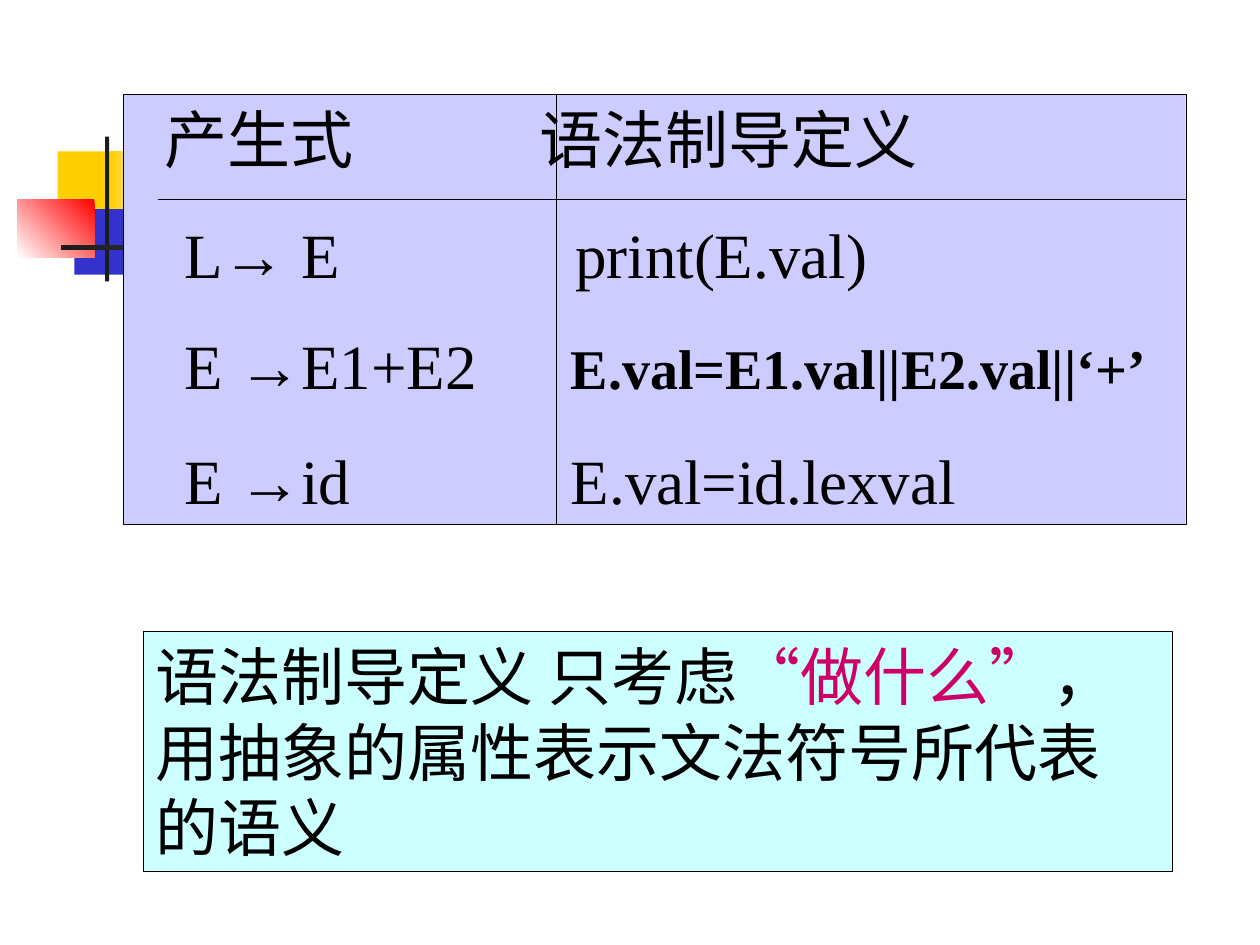
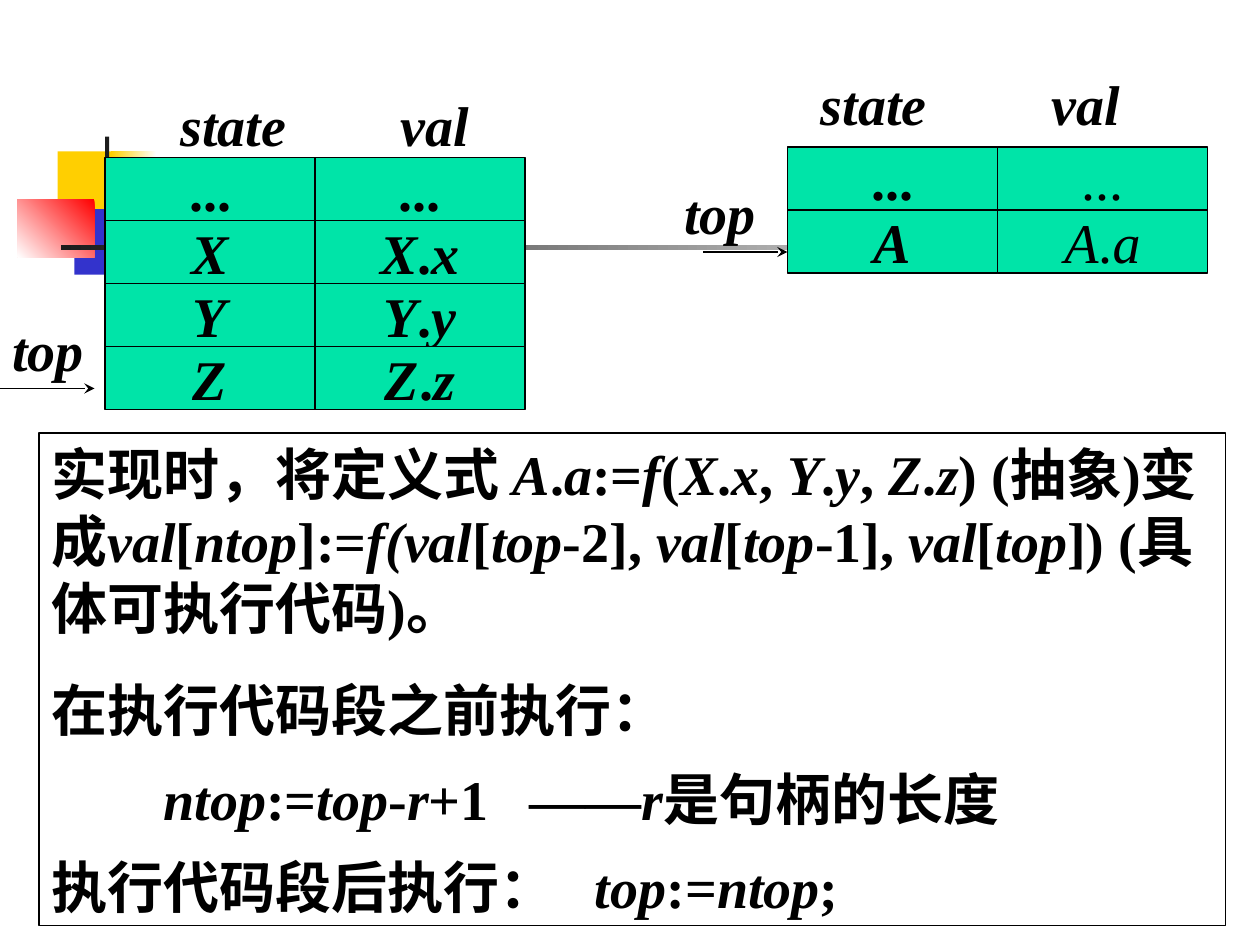
"""Build two slides on syntax-directed definitions and their stack implementation."""
from lxml import etree
from pptx import Presentation
from pptx.dml.color import RGBColor
from pptx.enum import shapes, text
from pptx.oxml import ns
from pptx.util import Pt

FONT = "Times New Roman"
BLACK, WHITE, DARK = "000000", "FFFFFF", "1C1C1C"
YELLOW, BLUE, RED = "FFCF01", "3333CC", "FF0000"
LILAC, AQUA, GREEN, PINK = "CCCCFF", "CCFFFF", "00E4A8", "CC0066"
CELL_WIDTH, CELL_HEIGHT = 120, 36
LABEL_HEIGHT = 46


def colour(code):
    """Turn a hex string into a colour."""
    return RGBColor.from_string(code)


def add_child(parent, tag, **attributes):
    """Append a drawing element to a parent element."""
    return etree.SubElement(parent, ns.qn(tag), **attributes)


def add_rect(page, place, fill, line=None, width=0.75):
    """Draw a flat rectangle with an optional outline."""
    box = page.shapes.add_shape(shapes.MSO_SHAPE.RECTANGLE, *map(Pt, place))
    box.shadow.inherit = False
    box.fill.solid()
    box.fill.fore_color.rgb = colour(fill)
    if line:
        box.line.color.rgb = colour(line)
        box.line.width = Pt(width)
    else:
        box.line.fill.background()
    return box


def add_fade(page, place, start, end, angle=180):
    """Draw a rectangle that fades from one colour to another."""
    box = add_rect(page, place, start)
    box.fill.gradient()
    box.fill.gradient_angle = angle
    for stop, code in zip(box.fill.gradient_stops, (start, end)):
        stop.color.rgb = colour(code)


def add_line(page, start, end, arrow=False):
    """Draw a thin black line, with an arrowhead if wanted."""
    line = page.shapes.add_connector(
        shapes.MSO_CONNECTOR.STRAIGHT, *map(Pt, start + end))
    line.line.color.rgb = colour(BLACK)
    line.line.width = Pt(0.75)
    if arrow:
        add_child(line.line._get_or_add_ln(), "a:tailEnd", type="stealth")
    add_child(line.element.spPr, "a:effectLst")


def starred(content, **style):
    """Split text into spans, with the parts between stars in italics."""
    return [(part, {**style, "italic": index % 2 == 1})
            for index, part in enumerate(content.split("*")) if part]


def write_para(para, spans, before=0, tabs=(), align=text.PP_ALIGN.LEFT):
    """Fill a paragraph with styled spans."""
    para.alignment = align
    para.space_before = Pt(before)
    if tabs:
        stops = add_child(para._p.get_or_add_pPr(), "a:tabLst")
        for stop in tabs:
            add_child(stops, "a:tab", pos=str(Pt(stop)), algn="l")
    for content, style in spans:
        span = para.add_run()
        span.text = content
        style = {"name": FONT, "size": 32, "color": BLACK, **style}
        span.font.color.rgb = colour(style.pop("color"))
        style["size"] = Pt(style["size"])
        for key, value in style.items():
            setattr(span.font, key, value)


def write_box(box, paras, anchor=text.MSO_ANCHOR.TOP, wrap=True):
    """Write a list of paragraph settings into a box."""
    frame = box.text_frame
    frame.word_wrap = wrap
    frame.vertical_anchor = anchor
    for index, settings in enumerate(paras):
        write_para(frame.add_paragraph() if index else frame.paragraphs[0],
                   **settings)


def add_label(page, left, top, width, content):
    """Add a bold italic label."""
    box = page.shapes.add_textbox(*map(Pt, (left, top, width, LABEL_HEIGHT)))
    write_box(box, [{"spans": starred(f"*{content}*", bold=True)}])


def add_stack(page, left, top, rows, bold=(True, True)):
    """Draw a two-column stack of cells."""
    for row, cells in enumerate(rows):
        for column, content in enumerate(cells):
            place = (left + column * CELL_WIDTH, top + row * CELL_HEIGHT,
                     CELL_WIDTH, CELL_HEIGHT)
            box = add_rect(page, place, GREEN, BLACK)
            write_box(box, [{"spans": starred(content, bold=bold[column]),
                             "align": text.PP_ALIGN.CENTER}],
                      text.MSO_ANCHOR.MIDDLE, wrap=False)


def decorate_layout(layout, page):
    """Draw the shared ornament and move it to the layout."""
    for holder in list(layout.placeholders):
        layout.shapes.element.remove(holder.element)
    add_rect(page, (33, 86.5, 34.5, 37.5), YELLOW)
    add_fade(page, (63.5, 86.5, 26, 37.5), WHITE, YELLOW)
    add_rect(page, (42.5, 119.5, 33, 37.5), BLUE)
    add_fade(page, (72, 119.5, 29, 37.5), WHITE, BLUE)
    add_fade(page, (10, 114, 44, 33), RED, WHITE, 225)
    add_rect(page, (60, 78, 2.4, 82.8), DARK)
    add_fade(page, (34.8, 140.2, 648, 2.5), WHITE, DARK)
    for shape in list(page.shapes):
        layout.shapes.element.append(shape.element)


def fill_definition_page(page):
    """Show productions beside their syntax-directed definitions."""
    large = {"size": 36}
    rules = add_rect(page, (70.6, 54, 607, 245.5), LILAC, BLACK, 0.25)
    tabs = (27.5, 248.5)
    write_box(rules, [
        {"spans": [("\t产生式\t语法制导定义", large)], "tabs": (16.5, 230.5)},
        {"spans": [("\tL→ E\tprint(E.val)", large)],
         "before": 22.5, "tabs": (27.5, 251)},
        {"spans": [("\tE →E1+E2\t", large),
                   ("E.val=E1.val||E2.val||‘+’", {"bold": True})],
         "before": 20, "tabs": tabs},
        {"spans": [("\tE →id\tE.val=id.lexval", large)],
         "before": 22.5, "tabs": tabs},
    ])
    add_line(page, (90, 114), (678, 114))
    add_line(page, (318, 54), (318, 300))
    note = add_rect(page, (82, 360.7, 588, 137), AQUA, BLACK, 0.25)
    write_box(note, [{"spans": [
        ("语法制导定义 只考虑", large),
        ("“做什么”", {**large, "color": PINK}),
        ("，用抽象的属性表示文法符号所代表的语义", large)]}])


def fill_stack_page(page):
    """Show the stack before and after a reduction, with the code used."""
    add_label(page, 0, 176.5, 60, "top")
    add_label(page, 96, 48, 94, "state")
    add_label(page, 222, 48, 60, "val")
    add_stack(page, 60, 90, [("...", "...")]
              + [(f"*{name}*", f"*{name}*.*{name.lower()}*") for name in "XYZ"])
    add_line(page, (0, 222), (54, 222), arrow=True)
    add_label(page, 462, 36, 102, "state")
    add_label(page, 594, 36, 60, "val")
    add_stack(page, 450, 84, [("...", "..."), ("*A*", "*A*.*a*")], (True, False))
    add_line(page, (402, 144), (450, 144), arrow=True)
    add_label(page, 384, 98.5, 60, "top")
    code = add_rect(page, (22.3, 247.5, 678, 281.5), WHITE, BLACK)
    paras = [
        ("实现时，将定义式 *A*.*a*:=*f*(*X*.*x*, *Y*.*y*, *Z*.*z*) (抽象)变成"
         "*val*[*ntop*]:=*f(val*[*top*-2], *val*[*top*-1], *val*[*top*])"
         " (具体可执行代码)。", 0, ()),
        ("在执行代码段之前执行：", 20, ()),
        ("\t*ntop*:=*top*-*r*+1\t——*r*是句柄的长度", 12, (64, 273)),
        ("执行代码段后执行：\t*top*:=*ntop*;", 12, (310.5,)),
    ]
    write_box(code, [{"spans": starred(content, bold=True),
                      "before": before, "tabs": tabs}
                     for content, before, tabs in paras])


def main():
    """Build and save the deck."""
    deck = Presentation()
    deck.slide_width, deck.slide_height = Pt(720), Pt(540)
    layout = deck.slide_layouts[6]
    pages = [deck.slides.add_slide(layout) for _ in range(2)]
    decorate_layout(layout, pages[0])
    fill_definition_page(pages[0])
    fill_stack_page(pages[1])
    deck.save("out.pptx")


if __name__ == "__main__":
    main()
